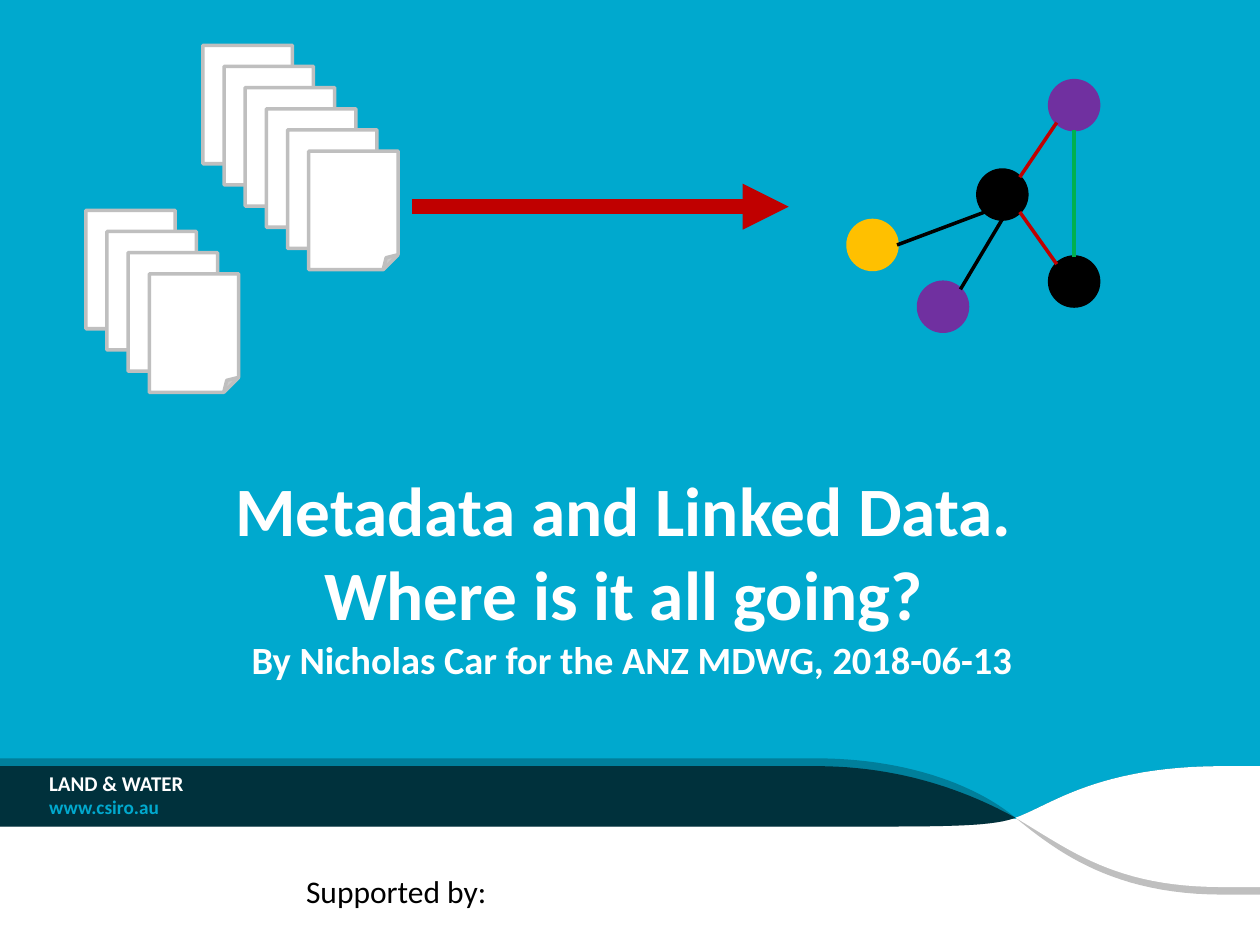
from lxml import etree
from pptx import Presentation
from pptx.dml.color import RGBColor
from pptx.enum.shapes import MSO_CONNECTOR, MSO_SHAPE
from pptx.enum.text import MSO_ANCHOR, PP_ALIGN
from pptx.oxml.ns import qn
from pptx.util import Pt

STRAIGHT = MSO_CONNECTOR.STRAIGHT
RECTANGLE, OVAL, PAGE = MSO_SHAPE.RECTANGLE, MSO_SHAPE.OVAL, MSO_SHAPE.FOLDED_CORNER
TOP, MIDDLE, BOTTOM = MSO_ANCHOR.TOP, MSO_ANCHOR.MIDDLE, MSO_ANCHOR.BOTTOM
LEFT, CENTER = PP_ALIGN.LEFT, PP_ALIGN.CENTER
CYAN, WHITE, BLACK, GREY = "00A9CE", "FFFFFF", "000000", "BFBFBF"
PURPLE, RED, GREEN, YELLOW = "7030A0", "C00000", "00B050", "FFC000"
CURVE_STEPS = 24

color = RGBColor.from_string


def paint(shape, fill, line=None):
    shape.shadow.inherit = False
    shape.fill.solid()
    shape.fill.fore_color.rgb = color(fill)
    if line:
        shape.line.color.rgb = color(line)
        shape.line.width = Pt(2)
    else:
        shape.line.fill.background()


def flatten(outline):
    """Turn points and Bezier segments (two controls and an end) into points."""
    points = []
    for segment in outline:
        if len(segment) == 2:
            points.append(segment)
            continue
        corners = [points[-1], segment[:2], segment[2:4], segment[4:]]
        for step in range(1, CURVE_STEPS + 1):
            t = step / CURVE_STEPS
            weights = ((1 - t) ** 3, 3 * t * (1 - t) ** 2, 3 * t * t * (1 - t), t ** 3)
            points.append(tuple(sum(w * corner[axis] for w, corner in zip(weights, corners))
                                for axis in (0, 1)))
    return [(Pt(x), Pt(y)) for x, y in points]


presentation = Presentation()
presentation.slide_width, presentation.slide_height = Pt(720), Pt(540)
slide = presentation.slides.add_slide(presentation.slide_layouts[6])
slide.background.fill.solid()
slide.background.fill.fore_color.rgb = color(CYAN)
shapes = slide.shapes

# Footer: white base and the crossing wave bands
footer = shapes.add_shape(RECTANGLE, Pt(0), Pt(468), Pt(721.5), Pt(72))
paint(footer, WHITE)

crossing = (580.3, 467.3)
edge = 722.2
tail_curve = [(0, 472.3), (509, 472.3), (555.1, 472.3, 570.2, 470.9, *crossing)]
rising_curve = [(699.1, 437.8), (627.1, 437.8, 600.5, 460.1, *crossing)]
bands = [
    (GREY, [[crossing, (0, 467.3), *tail_curve],
            [(edge, 437.8), (edge, 467.3), crossing,
             (604.8, 487.4, 637.2, 511.2, 698.4, 511.2), (edge, 511.2)]]),
    ("007F9B", [[(edge, 437.8), *rising_curve, (edge, 467.3)],
                [(466.6, 433.4), (0, 433.4), (0, 467.3), crossing,
                 (555.8, 447.1, 514.8, 433.4, 466.6, 433.4)]]),
    ("00313C", [[crossing, (553, 452.2, 514.8, 437.8, 466.6, 437.8),
                 (0, 437.8), *tail_curve]]),
    (WHITE, [[*rising_curve, (612, 486, 637.2, 506.9, 698.4, 506.9),
              (edge, 506.9), (edge, 437.8)]]),
]
for fill, outlines in bands:
    contours = [flatten(outline) for outline in outlines]
    builder = shapes.build_freeform(*contours[0][0], scale=1.0)
    builder.add_line_segments(contours[0][1:], close=True)
    for contour in contours[1:]:
        builder.move_to(*contour[0])
        builder.add_line_segments(contour[1:], close=True)
    paint(builder.convert_to_shape(), fill)

# Texts: lines, box, inset, size, bold, colour, alignment, anchor, line spacing, wrap
texts = [
    (["Metadata and Linked Data. ", "Where is it all going? "],
     (27.4, 277.2, 666.7, 85), 0, 39.6, True, WHITE, CENTER, BOTTOM, 1.0, True),
    (["By Nicholas Car for the ANZ MDWG, 2018-06-13"],
     (27.4, 366.5, 667.4, 28), 0, 22, True, WHITE, CENTER, TOP, 0.9, True),
    (["LAND & WATER"],
     (28.1, 442.8, 374.4, 11.5), 0, 12, True, WHITE, LEFT, MIDDLE, 0.9, True),
    (["www.csiro.au"],
     (28.1, 454.3, 80, 13.4), 0, 11, True, CYAN, LEFT, TOP, 1.0, True),
    (["Supported by:"],
     (167.8, 494.6, 118.8, 29), 1, 18, False, BLACK, LEFT, TOP, 1.0, False),
]
for lines, box, inset, size, bold, ink, alignment, anchor, spacing, wrap in texts:
    frame = shapes.add_textbox(*map(Pt, box)).text_frame
    frame.word_wrap = wrap
    frame.vertical_anchor = anchor
    frame.margin_left = frame.margin_right = Pt(7.2 * inset)
    frame.margin_top = frame.margin_bottom = Pt(3.6 * inset)
    paragraph = frame.paragraphs[0]
    paragraph.alignment = alignment
    paragraph.line_spacing = spacing
    for index, line in enumerate(lines):
        if index:
            paragraph.add_line_break()
        run = paragraph.add_run()
        run.text = line
        run.font.name = "Calibri"
        run.font.size = Pt(size)
        run.font.bold = bold
        run.font.color.rgb = color(ink)

# Two stacks of documents
page_step = 12.1
for left, top, count in [(115.9, 25.9, 6), (49, 120.2, 4)]:
    for index in range(count):
        offset = index * page_step
        page = shapes.add_shape(PAGE, Pt(left + offset), Pt(top + offset), Pt(51.1), Pt(67.7))
        paint(page, WHITE, GREY)

# Graph of linked data
radius = 14
diagonal = radius * 0.71
nodes = {
    "hub": (572.8, 111.2, BLACK),
    "left": (498.6, 140, YELLOW),
    "right": (613.8, 160.9, BLACK),
    "bottom": (538.9, 175.3, PURPLE),
    "top": (613.8, 60.1, PURPLE),
}
for x, y, fill in nodes.values():
    node = shapes.add_shape(OVAL, Pt(x - radius), Pt(y - radius), Pt(2 * radius), Pt(2 * radius))
    paint(node, fill, fill)

rim = {
    "N": (0, -radius), "E": (radius, 0), "S": (0, radius),
    "NE": (diagonal, -diagonal), "SE": (diagonal, diagonal),
    "SW": (-diagonal, diagonal), "NW": (-diagonal, -diagonal),
}
edges = [
    ("top", "S", "right", "N", GREEN),
    ("top", "SW", "hub", "NE", RED),
    ("hub", "SW", "left", "E", BLACK),
    ("hub", "S", "bottom", "NE", BLACK),
    ("hub", "SE", "right", "NW", RED),
]
links = [((235.4, 118.1, 450.7, 118.1), RED, 8.75, True)]
for start, start_side, end, end_side, ink in edges:
    ends = [nodes[name][axis] + rim[side][axis]
            for name, side in ((start, start_side), (end, end_side)) for axis in (0, 1)]
    links.append((ends, ink, 2, False))

for ends, ink, width, arrow in links:
    connector = shapes.add_connector(STRAIGHT, *map(Pt, ends))
    connector.line.color.rgb = color(ink)
    connector.line.width = Pt(width)
    properties = connector.element.spPr
    if arrow:
        etree.SubElement(properties.find(qn("a:ln")), qn("a:tailEnd"), type="triangle")
    etree.SubElement(properties, qn("a:effectLst"))

presentation.save("out.pptx")
